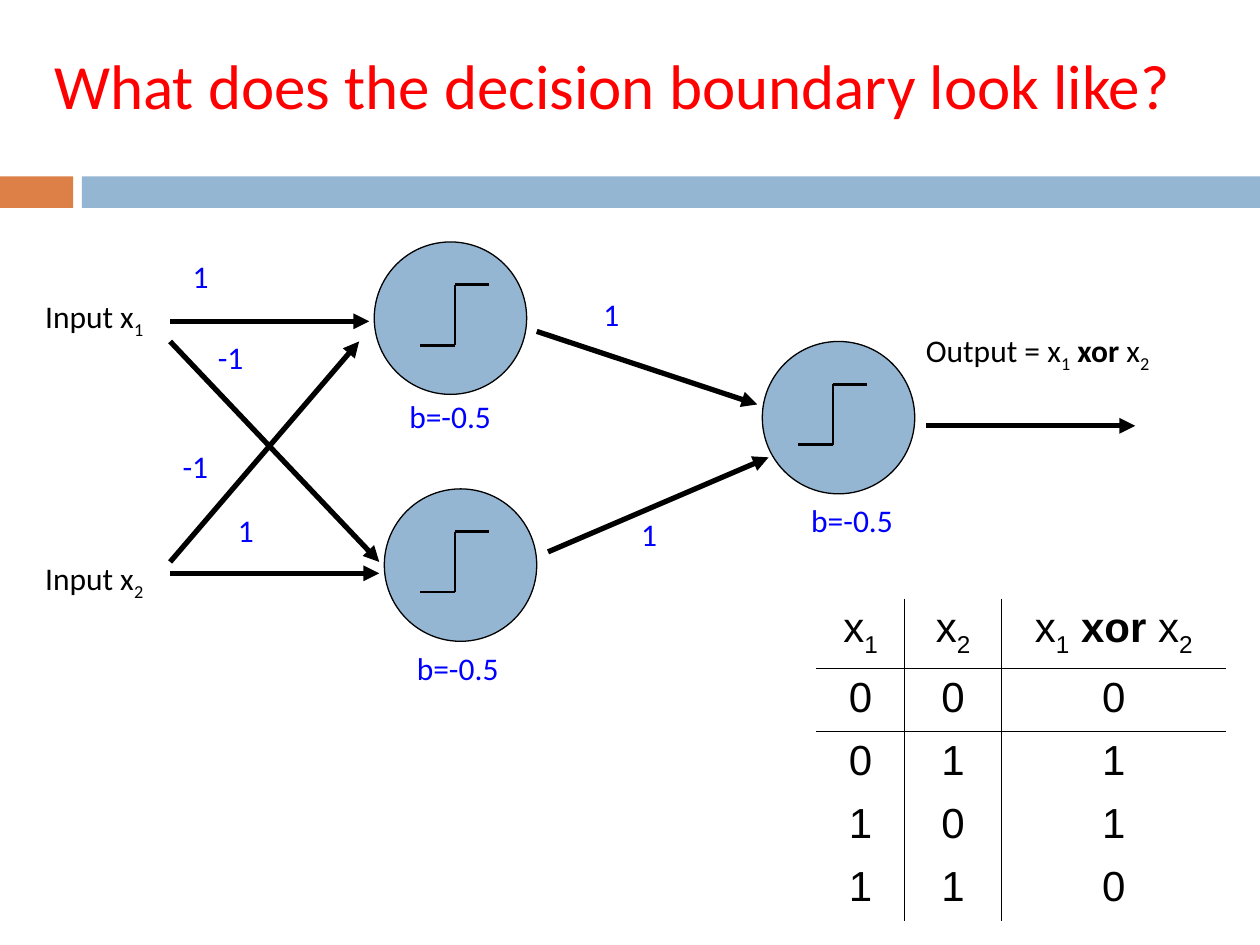
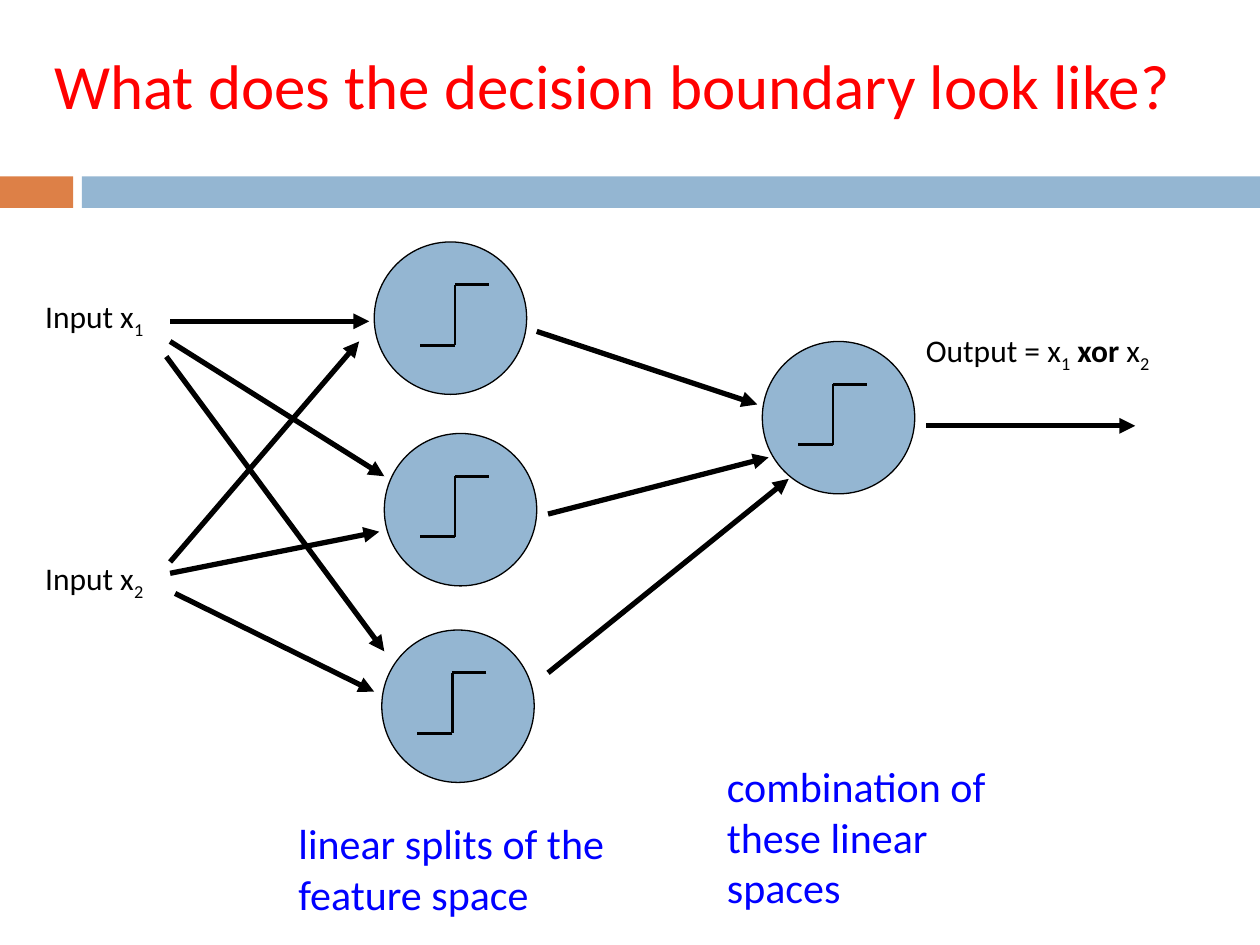
"""Build two slides on the decision boundary of a small neural network."""
from itertools import pairwise

from lxml.etree import SubElement
from pptx import Presentation
from pptx.dml.color import RGBColor
from pptx.enum.shapes import MSO_CONNECTOR, MSO_SHAPE
from pptx.enum.text import MSO_ANCHOR, PP_ALIGN
from pptx.oxml.ns import qn
from pptx.util import Inches, Pt

BLACK = RGBColor(0, 0, 0)
RED = RGBColor(0xFF, 0, 0)
BLUE = RGBColor(0, 0, 0xFF)
STEEL = RGBColor(0x94, 0xB6, 0xD2)
ORANGE = RGBColor(0xDD, 0x80, 0x47)

TITLE = "What does the decision boundary look like?"
TITLE_BOX = (0.33, -0.08, 9.4, 1.5)
BANDS = [((0, 1.4, 0.58, 0.25), ORANGE), ((0.65, 1.4, 9.35, 0.25), STEEL)]

X1 = [("x", ""), ("1", "sub")]
X2 = [("x", ""), ("2", "sub")]
XOR = X1 + [(" xor ", "bold")] + X2

NEURON_SIZE = 1.21
STEP_TOP = 0.34
STEP = [(0.55, 0), (0.28, 0), (0.28, 0.48), (0, 0.48)]

SHARED = {
    "neurons": [(2.97, 1.92, 0.36), (6.05, 2.71, 0.28)],
    "arrows": [
        (1.35, 2.55, 2.93, 2.55),
        (1.35, 4.46, 2.85, 2.71),
        (4.26, 2.63, 6.01, 3.21),
        (7.35, 3.38, 9.01, 3.38),
    ],
    "labels": [
        ((0.26, 2.31, 1.25, 0.4), [("Input ", "")] + X1, 18, BLACK),
        ((0.26, 4.39, 1.25, 0.4), [("Input ", "")] + X2, 18, BLACK),
        ((7.25, 2.58, 2.2, 0.4), [("Output = ", "")] + XOR, 18, BLACK),
    ],
}

WEIGHTS = [
    ("1", 1.43, 1.99), ("-1", 1.63, 2.63), ("-1", 1.35, 3.5),
    ("1", 1.79, 4.01), ("1", 4.69, 2.29), ("1", 4.99, 4.04),
]
BIASES = [("b=-0.5", 3.15, 3.1), ("b=-0.5", 3.21, 5.1), ("b=-0.5", 6.34, 3.93)]

TWO_HIDDEN = {
    "neurons": [(3.05, 3.88, 0.28)],
    "arrows": [
        (1.35, 2.71, 3.01, 4.46),
        (1.35, 4.55, 3.01, 4.55),
        (4.35, 4.38, 6.1, 3.63),
    ],
    "labels": [
        ((x, y, width, 0.4), [(text, "")], 18, BLUE)
        for group, width in ((WEIGHTS, 0.48), (BIASES, 0.93))
        for text, x, y in group
    ],
}

THREE_HIDDEN = {
    "neurons": [(3.05, 3.44, 0.28), (3.03, 5, 0.28)],
    "arrows": [
        (1.35, 2.71, 3.05, 3.78),
        (1.35, 4.55, 3.01, 4.22),
        (4.35, 4.08, 6.1, 3.63),
        (1.32, 2.83, 3.05, 5.17),
        (1.39, 4.71, 2.97, 5.49),
        (4.35, 5.34, 6.26, 3.8),
    ],
    "labels": [
        ((2.27, 6.44, 2.71, 0.91), [("linear splits of the feature space", "")], 24, BLUE),
        ((5.67, 5.99, 2.71, 0.91), [("combination of these linear spaces", "")], 24, BLUE),
    ],
}

TRUTH_ROWS = [[X1, X2, XOR]] + [
    [[(str(value), "")] for value in (a, b, a ^ b)] for a in (0, 1) for b in (0, 1)
]
TRUTH_COLS = [0.7, 0.77, 1.78]
TRUTH_HEIGHTS = [0.55] + [0.5] * 4
NO_STYLE = "{2D5ABB26-0587-4C30-8999-92F81FD0307C}"


def inches(values):
    return [Inches(v) for v in values]


def write(p, pieces, size, color, font="Calibri"):
    for text, style in pieces:
        r = p.add_run()
        r.text = text
        r.font.name = font
        r.font.size = Pt(size)
        r.font.color.rgb = color
        r.font.bold = style == "bold"
        if style == "sub":
            r._r.get_or_add_rPr().set("baseline", "-25000")


def add_filled(s, kind, box, fill):
    sp = s.shapes.add_shape(kind, *inches(box))
    sp.shadow.inherit = False
    sp.fill.solid()
    sp.fill.fore_color.rgb = fill
    sp.line.fill.background()
    return sp


def add_line(shapes, ends, width, arrow=False):
    line = shapes.add_connector(MSO_CONNECTOR.STRAIGHT, *inches(ends))
    line.line.color.rgb = BLACK
    line.line.width = Pt(width)
    if arrow:
        SubElement(line.line._get_or_add_ln(), qn("a:tailEnd"), type="triangle")
    SubElement(line._element.spPr, qn("a:effectLst"))


def add_neuron(s, x, y, step_left):
    sp = add_filled(s, MSO_SHAPE.OVAL, (x, y, NEURON_SIZE, NEURON_SIZE), STEEL)
    sp.line.color.rgb = BLACK
    sp.line.width = Pt(0.75)
    step = s.shapes.add_group_shape()
    points = [(x + step_left + dx, y + STEP_TOP + dy) for dx, dy in STEP]
    for start, end in pairwise(points):
        add_line(step.shapes, start + end, 1.5)


def add_label(s, box, pieces, size, color):
    tf = s.shapes.add_textbox(*inches(box)).text_frame
    tf.word_wrap = True
    write(tf.paragraphs[0], pieces, size, color)


def add_border(cell, side):
    ln = SubElement(cell._tc.get_or_add_tcPr(), qn(f"a:{side}"), w=str(Pt(1)))
    fill = SubElement(ln, qn("a:solidFill"))
    SubElement(fill, qn("a:srgbClr"), val=str(BLACK))


def add_truth_table(s):
    box = inches((6.48, 4.75, sum(TRUTH_COLS), sum(TRUTH_HEIGHTS)))
    table = s.shapes.add_table(len(TRUTH_ROWS), len(TRUTH_COLS), *box).table
    table.first_row = table.horz_banding = False
    table._tbl.tblPr.find(qn("a:tableStyleId")).text = NO_STYLE
    for col, width in zip(table.columns, TRUTH_COLS):
        col.width = Inches(width)
    for row, height in zip(table.rows, TRUTH_HEIGHTS):
        row.height = Inches(height)
    for i, row in enumerate(TRUTH_ROWS):
        for j, pieces in enumerate(row):
            cell = table.cell(i, j)
            p = cell.text_frame.paragraphs[0]
            p.alignment = PP_ALIGN.CENTER
            write(p, pieces, 24, BLACK, "Arial")
            sides = {"lnL": j > 0, "lnR": j < 2, "lnT": i == 1, "lnB": i == 0}
            for side, shown in sides.items():
                if shown:
                    add_border(cell, side)
            cell.fill.background()


def add_network(prs, layout, extra):
    s = prs.slides.add_slide(layout)
    tf = s.shapes.title.text_frame
    tf.text = TITLE
    tf.vertical_anchor = MSO_ANCHOR.MIDDLE
    p = tf.paragraphs[0]
    p.alignment = PP_ALIGN.LEFT
    font = p.runs[0].font
    font.name, font.size, font.color.rgb = "Calibri", Pt(36), RED
    for part in (SHARED, extra):
        for neuron in part["neurons"]:
            add_neuron(s, *neuron)
        for ends in part["arrows"]:
            add_line(s.shapes, ends, 3, arrow=True)
        for label in part["labels"]:
            add_label(s, *label)
    return s


def add_bands(s, layout):
    for box, color in BANDS:
        band = add_filled(s, MSO_SHAPE.RECTANGLE, box, color)
        layout.shapes._spTree.insert(2, band._element)


def main():
    prs = Presentation()
    prs.slide_width, prs.slide_height = Inches(10), Inches(7.5)
    layout = prs.slide_layouts[5]
    title = layout.placeholders[0]
    title.left, title.top, title.width, title.height = inches(TITLE_BOX)
    s = add_network(prs, layout, TWO_HIDDEN)
    add_bands(s, layout)
    add_truth_table(s)
    add_network(prs, layout, THREE_HIDDEN)
    prs.save("out.pptx")


if __name__ == "__main__":
    main()
